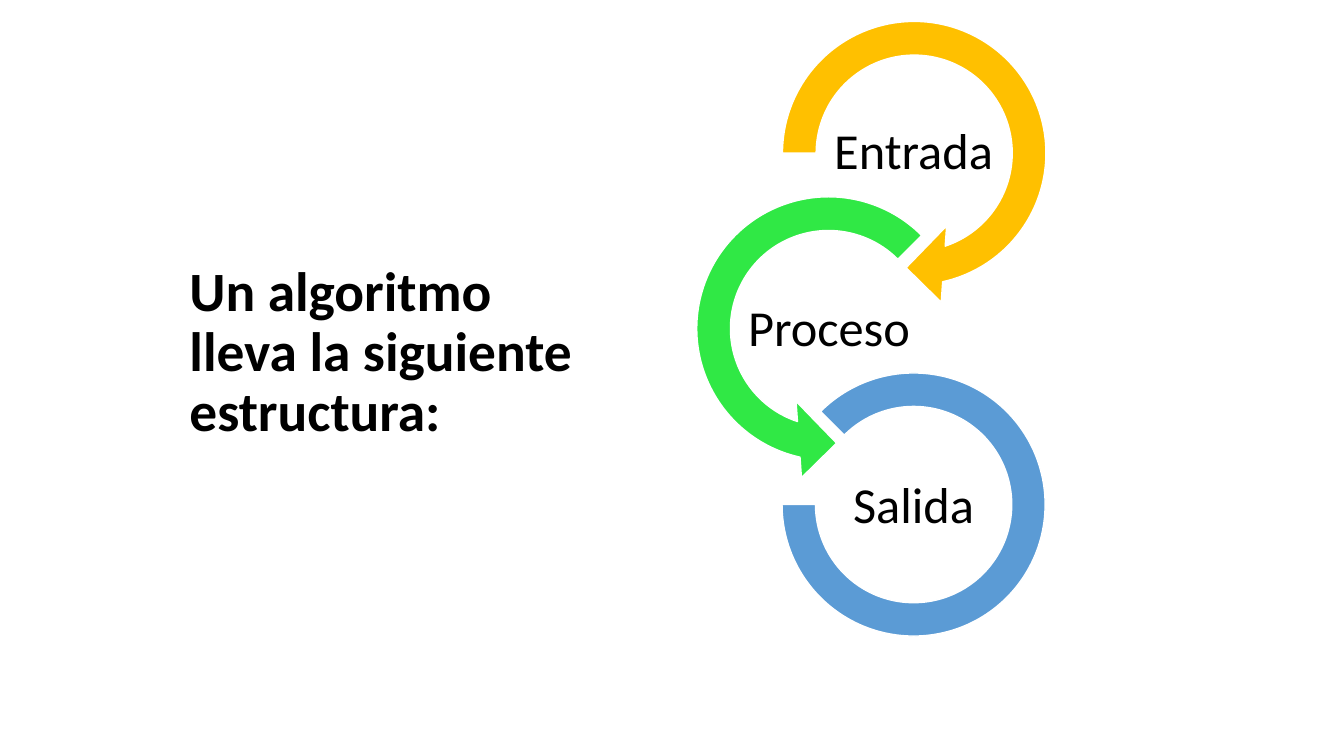
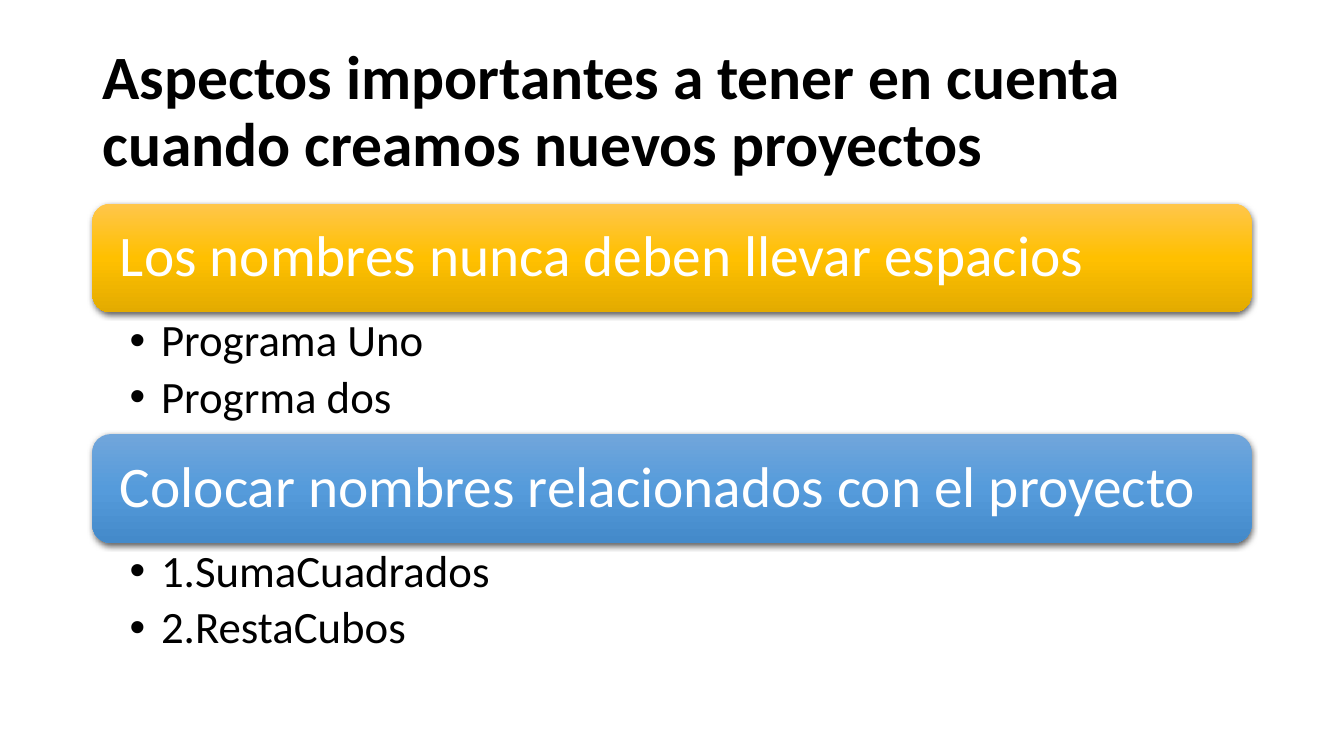
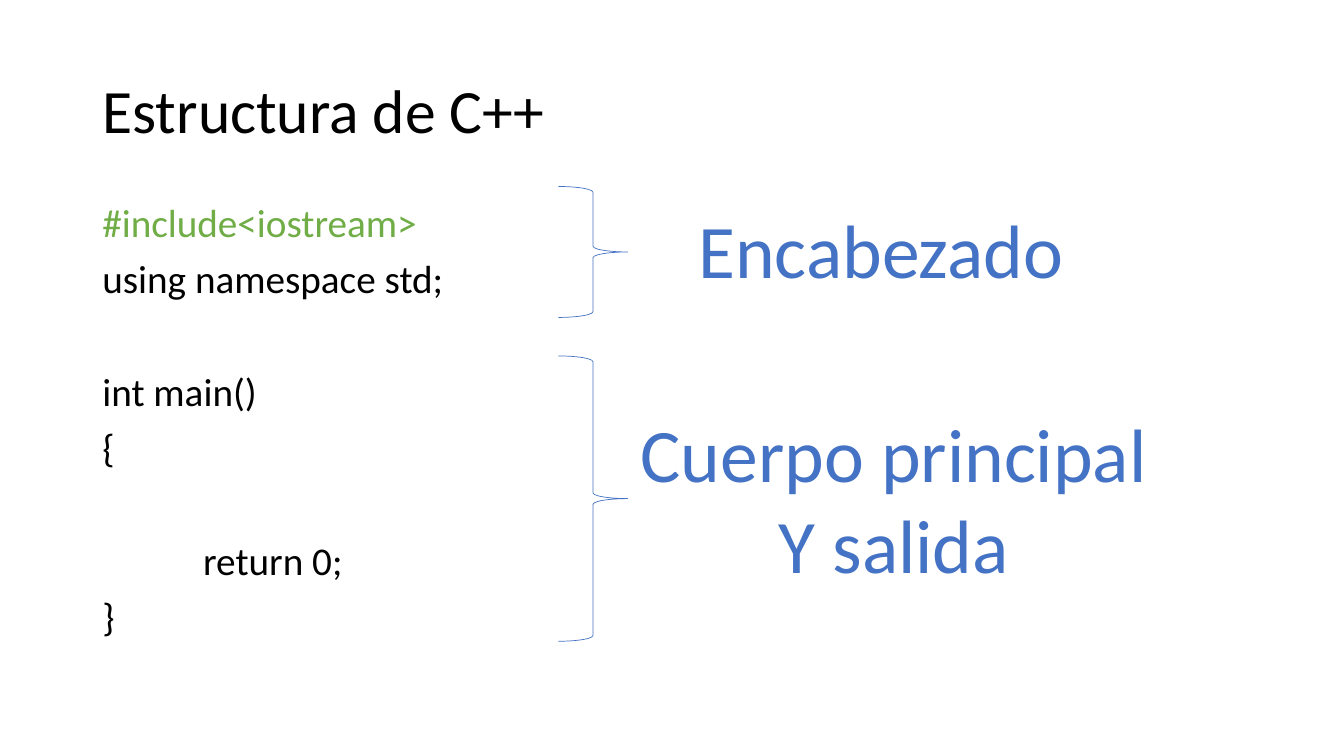
from copy import deepcopy

from lxml.etree import SubElement
from pptx import Presentation
from pptx.dml.color import RGBColor
from pptx.enum.shapes import MSO_SHAPE
from pptx.enum.text import MSO_ANCHOR, MSO_AUTO_SIZE, PP_ALIGN
from pptx.oxml.ns import qn
from pptx.util import Cm, Pt

FONT = "Calibri"
BLACK = RGBColor(0x00, 0x00, 0x00)
WHITE = RGBColor(0xFF, 0xFF, 0xFF)
AMBER = RGBColor(0xFF, 0xC0, 0x00)
LIME = RGBColor(0x30, 0xE8, 0x45)
SKY = RGBColor(0x5B, 0x9B, 0xD5)
BLUE = RGBColor(0x44, 0x72, 0xC4)
GREEN = RGBColor(0x70, 0xAD, 0x47)
AMBER_FADE = (RGBColor(0xFF, 0xC6, 0x4B), AMBER, RGBColor(0xE3, 0xAB, 0x00))
BLUE_FADE = (RGBColor(0x71, 0xA6, 0xDB), RGBColor(0x55, 0x9B, 0xDB),
             RGBColor(0x44, 0x8A, 0xCA))

LEFT, WIDTH = 2.33, 29.21
TITLE_BOX = (LEFT, 1.01, WIDTH, 3.68)
SIDE_TITLE_BOX = (4.52, 7.06, 10.41, 3.68)

STEPS = [
    ("Entrada", MSO_SHAPE.CIRCULAR_ARROW, (19.18, 0, 7.72), AMBER,
     (0.11, 11.423, 45, 108, 0.125), 20.88),
    ("Proceso", MSO_SHAPE.LEFT_CIRCULAR_ARROW, (17.02, 4.42, 7.72), LIME,
     (0.11, 11.423, 63, 189, 0.125), 18.75),
    ("Salida", MSO_SHAPE.BLOCK_ARC, (19.71, 9.4, 6.63), SKY,
     (135, 108, 0.127), 20.88),
]
STEP_TOP, STEP_PITCH = 2.79, 4.46

RULES = [
    ("Los nombres nunca deben llevar espacios", AMBER_FADE,
     ["Programa Uno", "Progrma dos"]),
    ("Colocar nombres relacionados con el proyecto", BLUE_FADE,
     ["1.SumaCuadrados", "2.RestaCubos"]),
]
RULE_TOP, BANNER_H, LIST_H = 5.13, 2.74, 3.07

CODE_GAP, BLANK_GAP = 10, 50.2
CODE = [
    ("#include<iostream>", GREEN, CODE_GAP, 0),
    ("using namespace std;", BLACK, CODE_GAP, 0),
    ("int main()", BLACK, BLANK_GAP, 0),
    ("{", BLACK, CODE_GAP, 0),
    ("return 0;", BLACK, BLANK_GAP, 2.54),
    ("}", BLACK, CODE_GAP, 0),
]
PARTS = [
    (["Encabezado"], (4.7, 3.3), (17.3, 5, 9.8, 2.57)),
    (["Cuerpo principal", "Y salida"], (8.97, 7.19), (15.82, 10.13, 13.41, 4.88)),
]


def cm(box):
    return [Cm(v) for v in box]


def write(p, text, size, color, bold=False, align=PP_ALIGN.LEFT, spacing=0.9):
    p.alignment = align
    p.line_spacing = spacing
    r = p.add_run()
    r.text = text
    r.font.name, r.font.size, r.font.bold = FONT, Pt(size), bold
    r.font.color.rgb = color


def paragraphs(tf, items):
    for i, item in enumerate(items):
        yield (tf.add_paragraph() if i else tf.paragraphs[0]), item


def set_frame(tf, insets=None, anchor=MSO_ANCHOR.TOP, wrap=True):
    tf.word_wrap = wrap
    tf.auto_size = MSO_AUTO_SIZE.NONE
    tf.vertical_anchor = anchor
    if insets:
        tf.margin_left, tf.margin_top, tf.margin_right, tf.margin_bottom = cm(insets)
    return tf


def add_text(s, box, **frame):
    return set_frame(s.shapes.add_textbox(*cm(box)).text_frame, **frame)


def add_shape(s, kind, box):
    sp = s.shapes.add_shape(kind, *cm(box))
    sp.shadow.inherit = False
    return sp


def titled_slide(prs, text, box=TITLE_BOX, size=44, bold=True):
    s = prs.slides.add_slide(prs.slide_layouts[5])
    title = s.shapes.title
    title.left, title.top, title.width, title.height = cm(box)
    tf = set_frame(title.text_frame, anchor=MSO_ANCHOR.MIDDLE)
    write(tf.paragraphs[0], text, size, BLACK, bold)
    return s


def fade(sp, colors):
    sp.fill.gradient()
    sp.fill.gradient_angle = 270
    stops = sp._element.spPr.find(qn("a:gradFill")).find(qn("a:gsLst"))
    stops.insert(1, deepcopy(stops[0]))
    for i, (stop, color) in enumerate(zip(sp.fill.gradient_stops, colors)):
        stop.position = i / 2
        stop.color.rgb = color


def drop_shadow(sp):
    effects = sp._element.spPr.find(qn("a:effectLst"))
    shadow = SubElement(effects, qn("a:outerShdw"), blurRad=str(Pt(4.5)),
                        dist=str(Pt(1.5)), dir="5400000", algn="ctr", rotWithShape="0")
    color = SubElement(shadow, qn("a:srgbClr"), val=str(BLACK))
    SubElement(color, qn("a:alpha"), val="63000")


def add_bullet(p):
    pPr = p._p.get_or_add_pPr()
    pPr.set("marL", str(Cm(0.79)))
    pPr.set("indent", str(-Cm(0.79)))
    SubElement(pPr, qn("a:buFont"), typeface="Arial")
    SubElement(pPr, qn("a:buChar"), char="•")


def algorithm_slide(prs):
    s = titled_slide(prs, "Un algoritmo lleva la siguiente estructura:",
                     SIDE_TITLE_BOX, 39.6)
    for i, (label, kind, (x, y, side), color, adjust, label_x) in enumerate(STEPS):
        sp = add_shape(s, kind, (x, y, side, side))
        for j, value in enumerate(adjust):
            sp.adjustments[j] = value
        sp.fill.solid()
        sp.fill.fore_color.rgb = color
        sp.line.color.rgb = WHITE
        sp.line.width = Pt(1)
        tf = add_text(s, (label_x, STEP_TOP + i * STEP_PITCH, 4.29, 2.13),
                      insets=[0.06] * 4, anchor=MSO_ANCHOR.MIDDLE)
        write(tf.paragraphs[0], label, 36, BLACK, align=PP_ALIGN.CENTER)


def naming_slide(prs):
    s = titled_slide(prs, "Aspectos importantes a tener en cuenta "
                          "cuando creamos nuevos proyectos")
    for i, (rule, colors, examples) in enumerate(RULES):
        top = RULE_TOP + i * (BANNER_H + LIST_H)
        sp = add_shape(s, MSO_SHAPE.ROUNDED_RECTANGLE, (LEFT, top, WIDTH, BANNER_H))
        fade(sp, colors)
        sp.line.fill.background()
        drop_shadow(sp)
        tf = set_frame(sp.text_frame, [0.56] * 4, MSO_ANCHOR.MIDDLE)
        write(tf.paragraphs[0], rule, 41, WHITE)
        tf = add_text(s, (LEFT, top + BANNER_H, WIDTH, LIST_H),
                      insets=(0.94, 0.15, 0.81, 0.15))
        for p, example in paragraphs(tf, examples):
            write(p, example, 32, BLACK)
            p.space_after = Pt(5.6)
            add_bullet(p)


def code_slide(prs):
    s = titled_slide(prs, "Estructura de C++", bold=False)
    tf = add_text(s, (LEFT, 5, 11.5, 11.71))
    for p, (line, color, gap, indent) in paragraphs(tf, CODE):
        write(p, line, 28, color)
        p.space_before = Pt(gap)
        p._p.get_or_add_pPr().set("marL", str(Cm(indent)))
    for lines, (top, height), box in PARTS:
        brace = add_shape(s, MSO_SHAPE.RIGHT_BRACE, (14.07, top, 1.75, height))
        brace.fill.background()
        brace.line.color.rgb = BLUE
        brace.line.width = Pt(0.5)
        tf = add_text(s, box, wrap=False)
        for p, line in paragraphs(tf, lines):
            write(p, line, 54, BLUE, align=PP_ALIGN.CENTER, spacing=1.0)


def main():
    prs = Presentation()
    prs.slide_width, prs.slide_height = Cm(33.87), Cm(19.05)
    for build in (algorithm_slide, naming_slide, code_slide):
        build(prs)
    prs.save("out.pptx")


if __name__ == "__main__":
    main()
